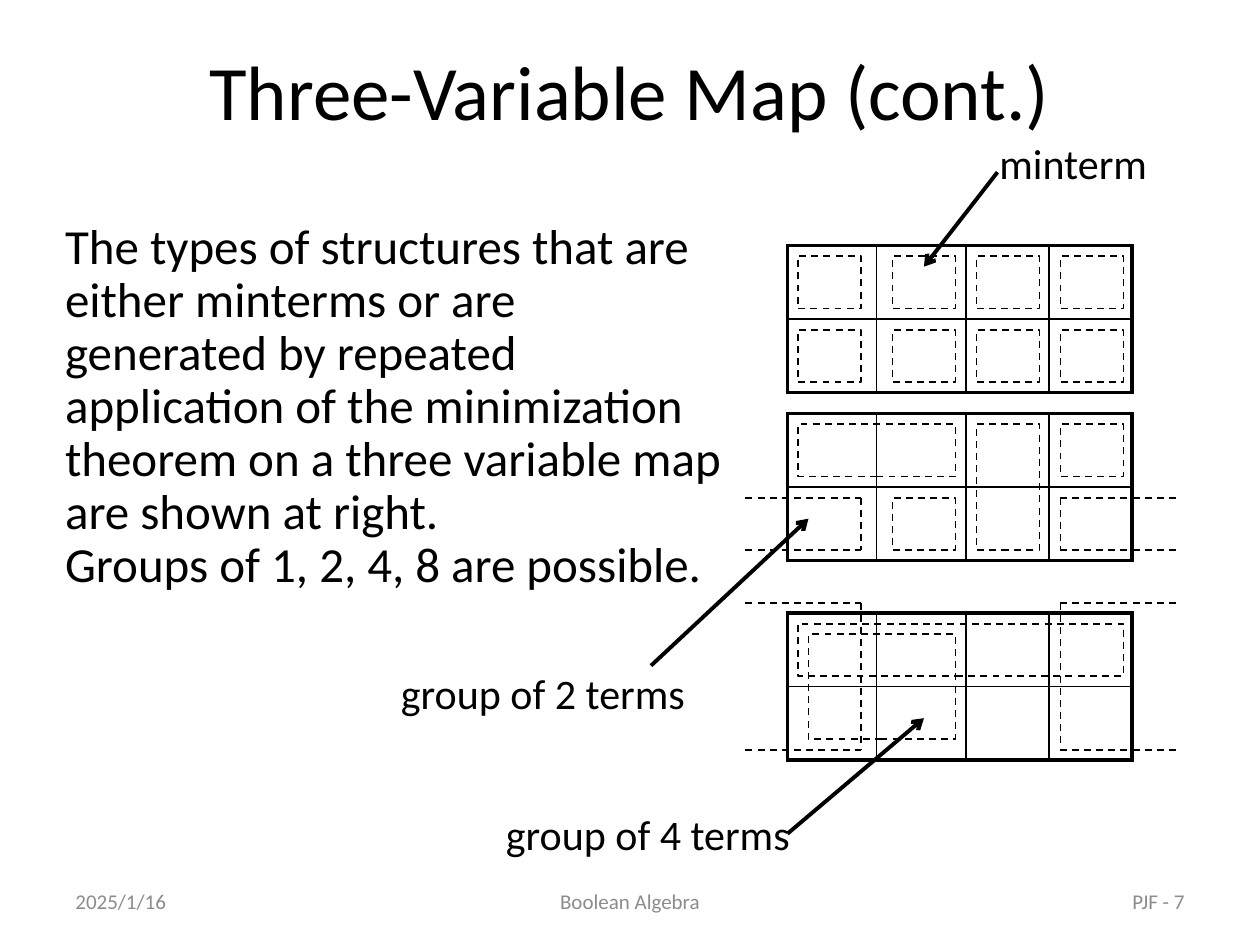
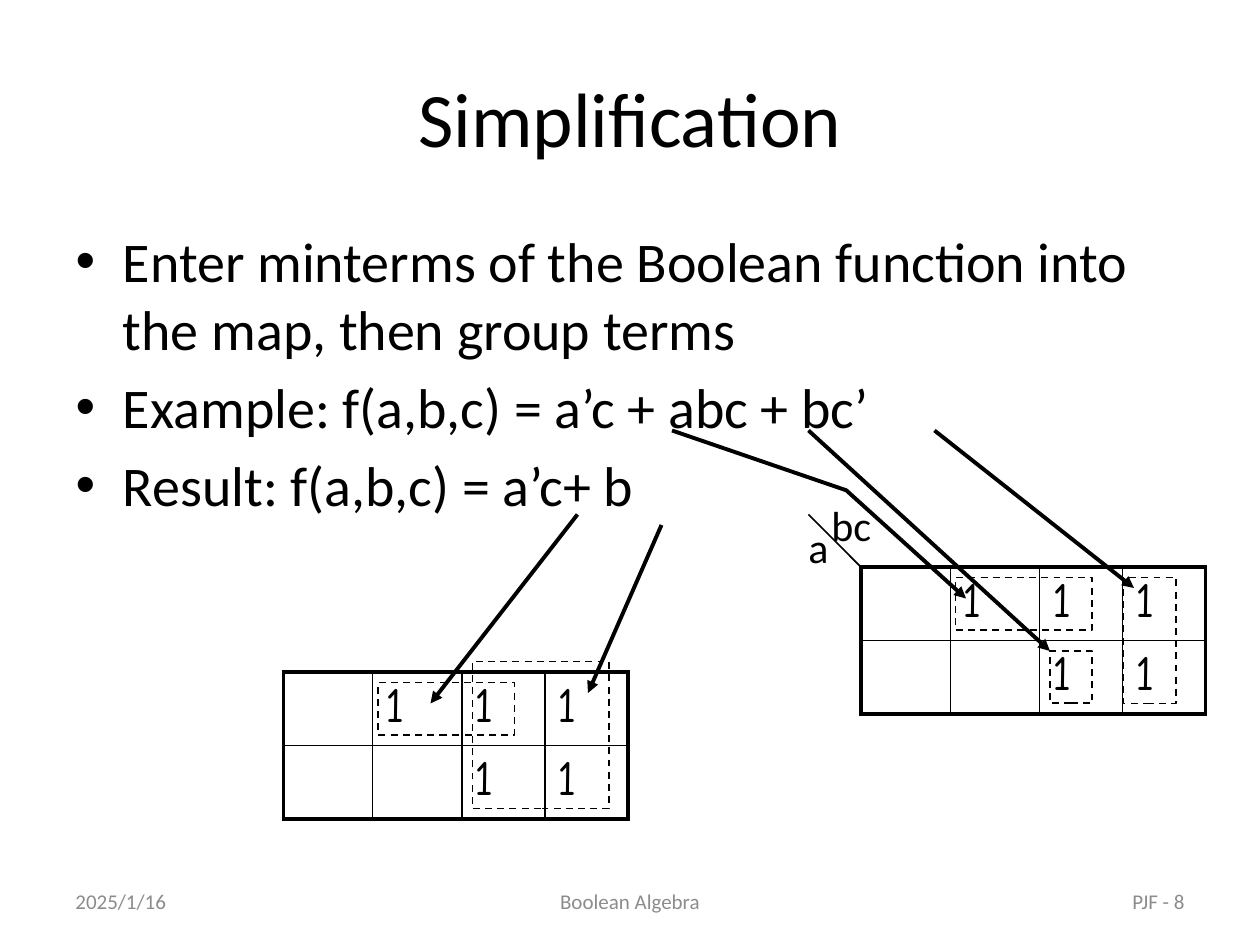
from dataclasses import dataclass
from typing import NamedTuple

from lxml.etree import SubElement
from pptx import Presentation
from pptx.dml.color import RGBColor
from pptx.enum.dml import MSO_LINE
from pptx.enum.shapes import MSO_CONNECTOR, MSO_SHAPE
from pptx.enum.text import MSO_ANCHOR, MSO_AUTO_SIZE, PP_ALIGN
from pptx.oxml.ns import qn
from pptx.util import Emu, Pt

DASH = MSO_LINE.DASH
LINE = MSO_CONNECTOR.STRAIGHT
RECT = MSO_SHAPE.RECTANGLE
TOP, MIDDLE = MSO_ANCHOR.TOP, MSO_ANCHOR.MIDDLE
LEFT, CENTER, RIGHT = PP_ALIGN.LEFT, PP_ALIGN.CENTER, PP_ALIGN.RIGHT
FIXED = MSO_AUTO_SIZE.NONE

SCALE = 7620
BLACK, GRAY = "000000", "8C8C8C"
SANS, COMIC = "Calibri", "Comic Neue"
THIN, THICK = 1, 2.25
COLS, ROWS = (85, 85, 79, 79), (70, 70)


class Box(NamedTuple):
    x: int
    y: int
    w: int
    h: int


class Arrow(NamedTuple):
    x1: int
    y1: int
    x2: int
    y2: int


class Hook(NamedTuple):
    out: int
    edge: int
    top: int
    base: int


class Label(NamedTuple):
    text: str
    box: Box


@dataclass
class Grid:
    x: int
    y: int
    cells: tuple[str, str] = ("    ", "    ")


@dataclass
class Page:
    title: str
    head: Box
    number: int
    grids: list[Grid]
    loops: list[Box]
    hooks: list[Hook]
    arrows: list[Arrow]
    labels: list[Label]
    tip: str


def px(size: int) -> Emu:
    return Emu(size * SCALE)


def scaled(sizes) -> list[Emu]:
    return [px(size) for size in sizes]


def tint(code: str) -> RGBColor:
    return RGBColor.from_string(code)


def style(frame, size: float, color: str = BLACK, font: str = SANS, align=LEFT) -> None:
    for para in frame.paragraphs:
        para.alignment = align
        for run in para.runs:
            run.font.size = Pt(size)
            run.font.name = font
            run.font.color.rgb = tint(color)


def place(shape, box: Box) -> None:
    shape.left, shape.top, shape.width, shape.height = scaled(box)


def write(slide, label: Label, size: float, color: str = BLACK, align=LEFT, anchor=TOP) -> None:
    frame = slide.shapes.add_textbox(*scaled(label.box)).text_frame
    frame.word_wrap = True
    frame.vertical_anchor = anchor
    frame.text = label.text
    style(frame, size, color, align=align)


def stroke(shape, width: float, dash: bool = False, tip: str = "") -> None:
    shape.line.color.rgb = tint(BLACK)
    shape.line.width = Pt(width)
    if dash:
        shape.line.dash_style = DASH
    if tip:
        SubElement(shape.element.spPr.find(qn("a:ln")), qn("a:tailEnd"), type=tip)


def join(shapes, ends: Arrow, width: float, dash: bool = False, tip: str = "") -> None:
    line = shapes.add_connector(LINE, *scaled(ends))
    stroke(line, width, dash, tip)
    SubElement(line.element.spPr, qn("a:effectLst"))


def loop(slide, box: Box) -> None:
    shape = slide.shapes.add_shape(RECT, *scaled(box))
    shape.shadow.inherit = False
    shape.fill.background()
    stroke(shape, THIN, dash=True)


def draw_hook(slide, hook: Hook) -> None:
    group = slide.shapes.add_group_shape()
    for ends in (
        Arrow(hook.out, hook.base, hook.edge, hook.base),
        Arrow(hook.out, hook.top, hook.edge, hook.top),
        Arrow(hook.edge, hook.top, hook.edge, hook.base),
    ):
        join(group.shapes, ends, THIN, dash=True)


def border(cell, side: str, width: float) -> None:
    props = cell._tc.get_or_add_tcPr()
    line = SubElement(props, qn(f"a:ln{side}"), w=str(Pt(width)))
    fill = SubElement(line, qn("a:solidFill"))
    SubElement(fill, qn("a:srgbClr"), val=BLACK)


def draw_grid(slide, grid: Grid) -> None:
    size = Box(grid.x, grid.y, sum(COLS), sum(ROWS))
    table = slide.shapes.add_table(len(ROWS), len(COLS), *scaled(size)).table
    table.first_row = table.horz_banding = False
    for col, width in zip(table.columns, COLS):
        col.width = px(width)
    for row, height in zip(table.rows, ROWS):
        row.height = px(height)
    for r, marks in enumerate(grid.cells):
        for c, mark in enumerate(marks):
            cell = table.cell(r, c)
            rims = {
                "L": c == 0,
                "R": c == len(COLS) - 1,
                "T": r == 0,
                "B": r == len(ROWS) - 1,
            }
            for side, rim in rims.items():
                border(cell, side, THICK if rim else THIN)
            cell.fill.background()
            if mark.strip():
                cell.text_frame.text = mark
                style(cell.text_frame, 28, font=COMIC)


def foot(slide, number: int) -> None:
    for text, x, width, align in (
        ("2025/1/16", 60, 280, LEFT),
        ("Boolean Algebra", 410, 380, CENTER),
        (f"PJF - {number}", 860, 280, RIGHT),
    ):
        write(slide, Label(text, Box(x, 834, width, 48)), 12, GRAY, align, MIDDLE)


def fill_body(slide, box: Box, lines: list[str], size: float):
    body = slide.placeholders[1]
    place(body, box)
    frame = body.text_frame
    frame.auto_size = FIXED
    frame.text = "\n".join(lines)
    style(frame, size)
    frame.paragraphs[0].space_before = Pt(0)
    return frame


def draw_page(deck, page: Page):
    slide = deck.slides.add_slide(deck.slide_layouts[1])
    title = slide.shapes.title
    place(title, page.head)
    title.text_frame.text = page.title
    title.text_frame.vertical_anchor = MIDDLE
    style(title.text_frame, 44, align=CENTER)
    foot(slide, page.number)
    for grid in page.grids:
        draw_grid(slide, grid)
    for box in page.loops:
        loop(slide, box)
    for hook in page.hooks:
        draw_hook(slide, hook)
    for ends in page.arrows:
        join(slide.shapes, ends, THICK, tip=page.tip)
    for label in page.labels:
        write(slide, label, 24)
    return slide


def map_slide(deck) -> None:
    terms = [Box(x, y, 60, 50) for y in (244, 314) for x in (760, 850, 930, 1010)]
    pairs = [
        Box(760, 404, 150, 50),
        Box(930, 404, 60, 120),
        Box(1010, 404, 60, 50),
        Box(850, 474, 60, 50),
    ]
    quads = [Box(760, 594, 310, 50), Box(770, 604, 140, 100)]
    page = Page(
        title="Three-Variable Map (cont.)",
        head=Box(0, 10, 1200, 150),
        number=7,
        grids=[Grid(750, y) for y in (234, 394, 584)],
        loops=terms + pairs + quads,
        hooks=[
            Hook(out, edge, top, base)
            for top, base in ((474, 524), (574, 714))
            for out, edge in ((710, 820), (1120, 1010))
        ],
        arrows=[
            Arrow(950, 164, 880, 254),
            Arrow(620, 634, 770, 494),
            Arrow(750, 794, 880, 684),
        ],
        labels=[
            Label("minterm", Box(940, 125, 179, 60)),
            Label("group of 2 terms", Box(370, 630, 340, 60)),
            Label("group of 4 terms", Box(470, 764, 340, 60)),
        ],
        tip="arrow",
    )
    slide = draw_page(deck, page)
    text = (
        "The types of structures that are either minterms or are generated by "
        "repeated application of the minimization theorem on a three variable "
        "map are shown at right.\vGroups of 1, 2, 4, 8 are possible."
    )
    para = fill_body(slide, Box(50, 206, 650, 514), [text], 28).paragraphs[0]
    para.line_spacing = 0.9
    props = para._p.get_or_add_pPr()
    props.set("marL", "0")
    props.set("indent", "0")
    SubElement(props, qn("a:buNone"))


def group_slide(deck) -> None:
    marks = (" 111", "  11")
    page = Page(
        title="Simplification",
        head=Box(60, 36, 1080, 150),
        number=8,
        grids=[Grid(820, 540, marks), Grid(270, 640, marks)],
        loops=[
            Box(910, 550, 130, 50),
            Box(1000, 620, 40, 50),
            Box(1070, 550, 50, 120),
            Box(360, 650, 130, 50),
            Box(450, 630, 130, 140),
        ],
        hooks=[],
        arrows=[
            Arrow(890, 410, 1080, 560),
            Arrow(770, 410, 1000, 620),
            Arrow(550, 490, 410, 670),
            Arrow(630, 500, 560, 660),
        ],
        labels=[
            Label("a", Box(758, 491, 44, 60)),
            Label("bc", Box(780, 470, 68, 60)),
        ],
        tip="triangle",
    )
    slide = draw_page(deck, page)
    lines = [
        "Enter minterms of the Boolean function into the map, then group terms",
        "Example: f(a,b,c) = a’c + abc + bc’",
        "Result: f(a,b,c) = a’c+ b",
    ]
    fill_body(slide, Box(60, 210, 1080, 594), lines, 32)
    join(slide.shapes, Arrow(820, 540, 770, 490), THIN)
    pen = slide.shapes.build_freeform(640, 410, scale=SCALE)
    pen.add_line_segments([(806, 467), (920, 570)], close=False)
    bend = pen.convert_to_shape()
    bend.shadow.inherit = False
    bend.fill.background()
    stroke(bend, THICK, tip=page.tip)


def main() -> None:
    deck = Presentation()
    deck.slide_width, deck.slide_height = px(1200), px(900)
    map_slide(deck)
    group_slide(deck)
    deck.save("out.pptx")


if __name__ == "__main__":
    main()
